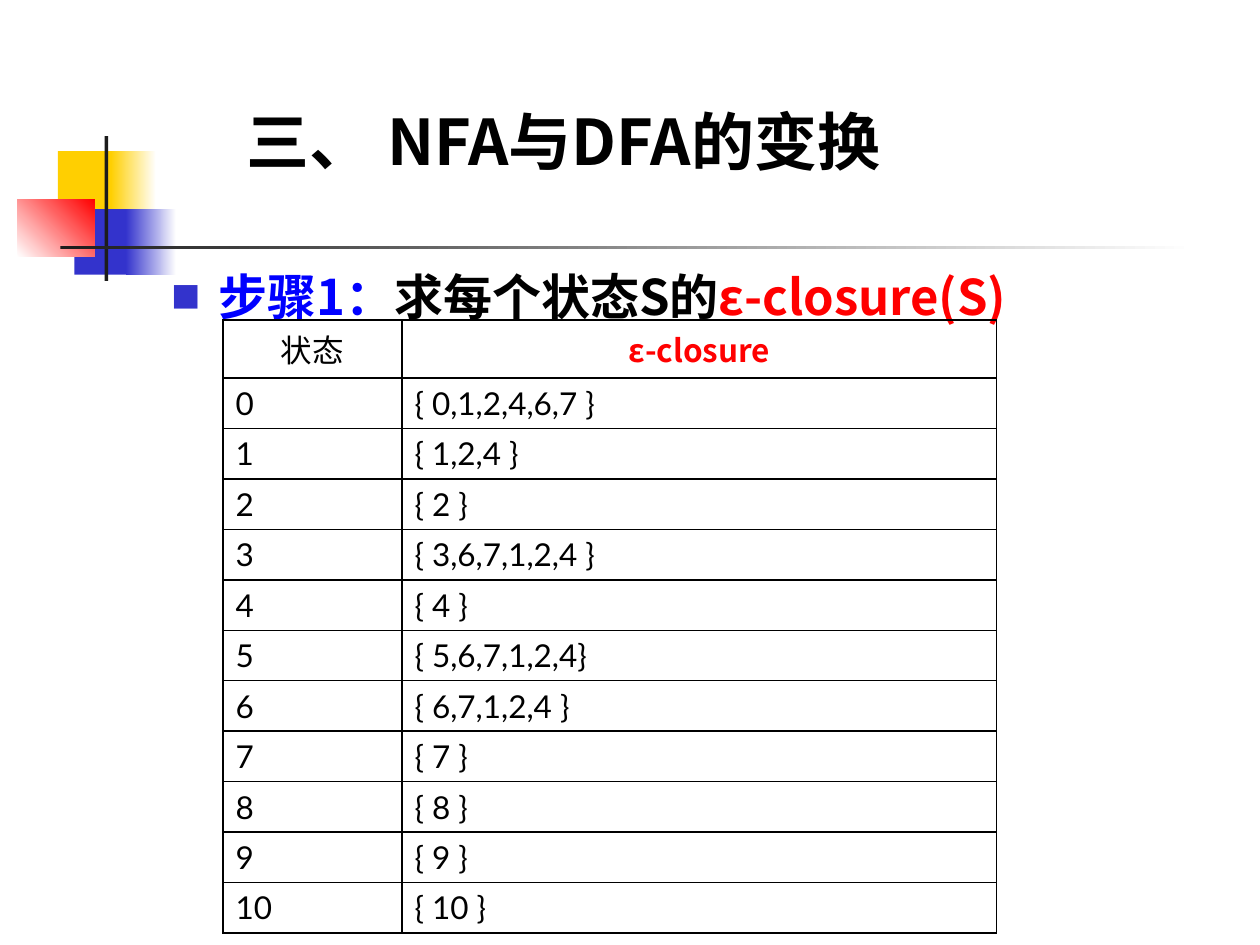
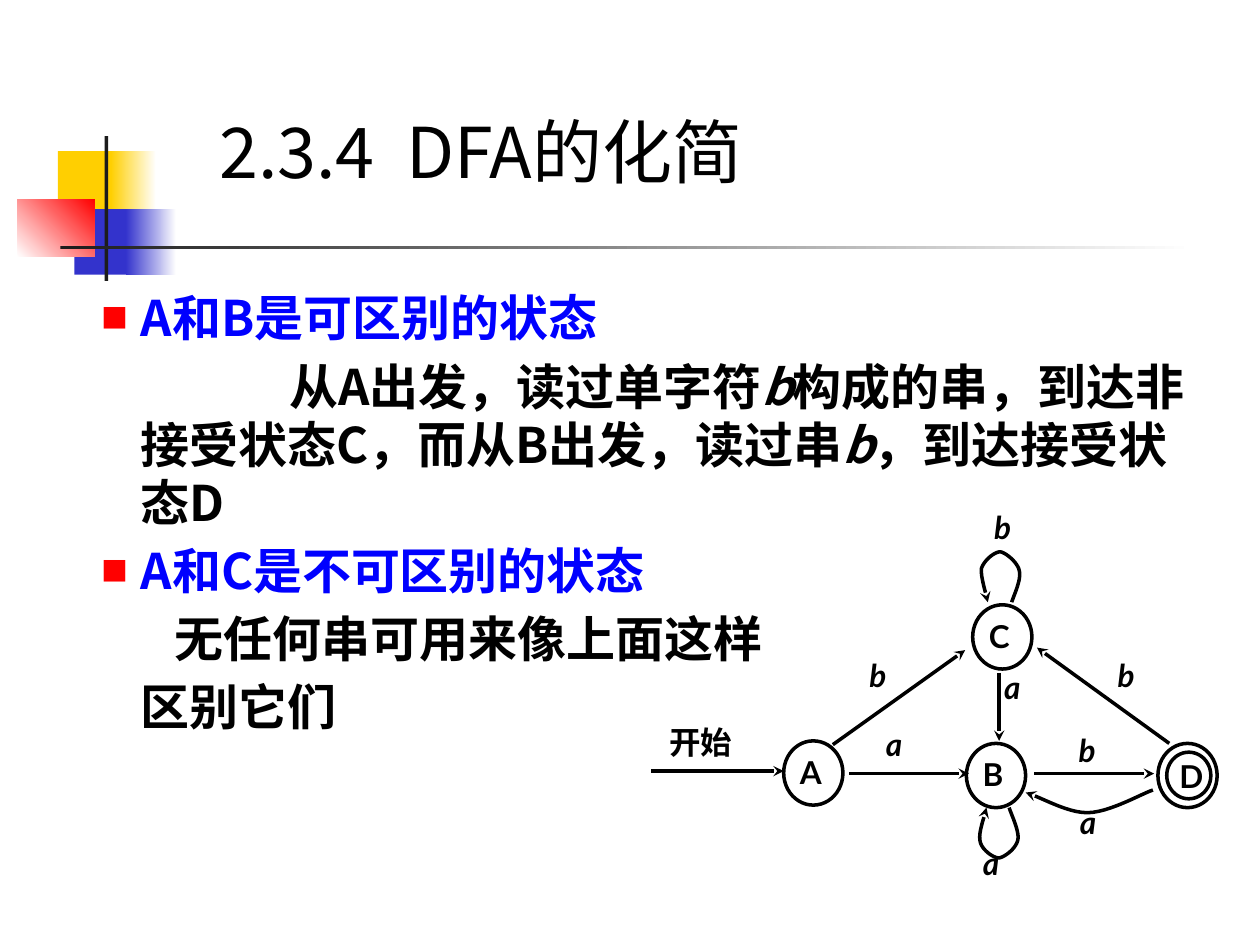
import pptx
import pptx.chart.data
import pptx.dml.color
import pptx.enum.shapes
import pptx.enum.text
import pptx.oxml
import pptx.oxml.ns
import pptx.util
from lxml import etree

Inches = pptx.util.Inches
Pt = pptx.util.Pt
RGBColor = pptx.dml.color.RGBColor
KIND = pptx.enum.shapes.MSO_SHAPE
ALIGN = pptx.enum.text.PP_ALIGN
ANCHOR = pptx.enum.text.MSO_ANCHOR
qn = pptx.oxml.ns.qn

BLACK = RGBColor(0, 0, 0)
WHITE = RGBColor(255, 255, 255)
RED = RGBColor(255, 0, 0)
BLUE = RGBColor(0, 0, 255)
NAVY = RGBColor(0x33, 0x33, 0xCC)
GOLD = RGBColor(0xFF, 0xCF, 0x01)
DARK = RGBColor(0x1C, 0x1C, 0x1C)
SANS = "Noto Sans CJK JP"
LATO = "Lato"
LEAD = 1.19
DROP = 0.05

BAND = [
    ((0.46, 1.2, 0.48, 0.52), GOLD, None, 0),
    ((0.88, 1.2, 0.36, 0.52), GOLD, WHITE, 0),
    ((0.59, 1.66, 0.46, 0.52), NAVY, None, 0),
    ((1, 1.66, 0.4, 0.52), NAVY, WHITE, 0),
    ((0.14, 1.58, 0.61, 0.46), WHITE, RED, 45),
    ((0.83, 1.08, 0.03, 1.15), DARK, None, 0),
    ((0.48, 1.95, 9, 0.03), DARK, WHITE, 0),
]

STEP = [(0.38, -0.38, (NAVY, 60), [
    ("步骤1：", BLUE), ("求每个状态S的", BLACK), ("ε-closure(S)", RED)])]
SETS = ["{ 0,1,2,4,6,7 }", "{ 1,2,4 }", "{ 2 }", "{ 3,6,7,1,2,4 }", "{ 4 }",
        "{ 5,6,7,1,2,4}", "{ 6,7,1,2,4 }", "{ 7 }", "{ 8 }", "{ 9 }", "{ 10 }"]

POINTS = [
    (0.81, -0.31, (RED, 55), [("A和B是可区别的状态", BLUE)]),
    (0.81, 1.18, None, [
        ("从A出发，读过单字符", BLACK), ("b", BLACK, True),
        ("构成的串，到达非接受状态C，而从B出发，读过串", BLACK),
        ("b", BLACK, True), ("，到达接受状态D", BLACK)]),
    (0.81, -0.31, (RED, 55), [("A和C是不可区别的状态", BLUE)]),
    (0.81, 0.27, None, [("无任何串可用来像上面这样", BLACK)]),
    (0.81, 0, None, [("区别它们", BLACK)]),
]

NODE = (0.47, 0.51)
PAD = (0.06, 0.03, 0.02, 0.05)
STATES = [
    ("A", (6.22, 5.88, *NODE), PAD),
    ("B", (7.67, 5.9, *NODE), PAD),
    ("C", (7.72, 4.8, *NODE), PAD),
    ("", (9.19, 5.9, *NODE), PAD),
    ("D", (9.26, 5.97, 0.35, 0.37), (0.05, 0, 0.01, 0)),
]
ARROWS = [
    (5.17, 6.12, 6.22, 6.12), (6.74, 6.14, 7.69, 6.14),
    (8.21, 6.14, 9.16, 6.14), (6.61, 5.91, 7.66, 5.16),
    (7.93, 5.34, 7.93, 5.88), (9.28, 5.9, 8.23, 5.14),
]
CURVES = [
    [(8.03, 4.78), (8.04, 4.74), (8.11, 4.6), (8.09, 4.53), (8.08, 4.47),
     (7.99, 4.39), (7.94, 4.38), (7.89, 4.38), (7.81, 4.45), (7.79, 4.51),
     (7.78, 4.58), (7.83, 4.72), (7.84, 4.78)],
    [(8.01, 6.41), (8.02, 6.45), (8.09, 6.59), (8.08, 6.66), (8.07, 6.73),
     (7.98, 6.8), (7.93, 6.81), (7.88, 6.81), (7.79, 6.74), (7.78, 6.68),
     (7.76, 6.61), (7.82, 6.47), (7.83, 6.41)],
    [(9.15, 6.27), (9.06, 6.3), (8.8, 6.45), (8.63, 6.45), (8.46, 6.45),
     (8.25, 6.32), (8.14, 6.29)],
]
LABELS = [
    ("a", 6.97, 5.72), ("a", 7.74, 6.67), ("a", 8.51, 6.34), ("a", 7.91, 5.27),
    ("b", 8.5, 5.77), ("b", 6.84, 5.18), ("b", 7.83, 4), ("b", 8.81, 5.18),
]


def lens(box):
    return [Inches(v) for v in box]


def add_run(para, text, size, font, color, bold=False, slant=False, gap=0):
    run = para.add_run()
    run.text = text
    face = run.font
    face.size, face.name, face.bold, face.italic = Pt(size), font, bold, slant
    face.color.rgb = color
    props = run._r.get_or_add_rPr()
    props.find(qn("a:latin")).addnext(
        etree.Element(qn("a:ea"), typeface=SANS))
    if gap:
        props.set("spc", str(gap * 100))


def set_pad(frame, pad):
    (frame.margin_left, frame.margin_top,
     frame.margin_right, frame.margin_bottom) = lens(pad)
    frame.word_wrap = True


def add_title(slide, box, size, bold, parts):
    head = slide.shapes.title
    left, top, wide, high = box
    head.left, head.top, head.width, head.height = lens(
        (left, top + DROP, wide, high))
    frame = head.text_frame
    frame.auto_size = pptx.enum.text.MSO_AUTO_SIZE.NONE
    frame.vertical_anchor = ANCHOR.MIDDLE
    set_pad(frame, (0.1, 0.05, 0.1, 0.05))
    para = frame.paragraphs[0]
    para.alignment = ALIGN.LEFT
    para.line_spacing = Pt(size * LEAD)
    for text, gap in parts:
        add_run(para, text, size, SANS, BLACK, bold, gap=gap)


def add_band(slide):
    for box, color, fade, angle in BAND:
        part = slide.shapes.add_shape(KIND.RECTANGLE, *lens(box))
        part.shadow.inherit = False
        part.line.fill.background()
        if fade is None:
            part.fill.solid()
            part.fill.fore_color.rgb = color
            continue
        part.fill.gradient()
        part.fill.gradient_angle = angle
        for stop, tone, place in zip(part.fill.gradient_stops, (color, fade), (0, 1)):
            stop.color.rgb = tone
            stop.position = place


def add_body(slide, box, items):
    left, top, wide, high = box
    frame = slide.shapes.add_textbox(
        *lens((left, top + DROP, wide, high))).text_frame
    set_pad(frame, (0.1, 0.05, 0.1, 0.05))
    for num, (left, first, mark, runs) in enumerate(items):
        para = frame.add_paragraph() if num else frame.paragraphs[0]
        para.line_spacing = Pt(28 * LEAD)
        para.space_before = Pt(5.6)
        props = para._p.get_or_add_pPr()
        props.set("marL", str(Inches(left)))
        props.set("indent", str(Inches(first)))
        if mark:
            tint = etree.SubElement(props, qn("a:buClr"))
            etree.SubElement(tint, qn("a:srgbClr"), val=str(mark[0]))
            etree.SubElement(props, qn("a:buSzPct"), val=str(mark[1] * 1000))
            etree.SubElement(props, qn("a:buFont"), typeface=SANS)
            etree.SubElement(props, qn("a:buChar"), char="■")
        for text, color, *slant in runs:
            add_run(para, text, 28, SANS, color, True, bool(slant))


def set_cell(cell, text, font=LATO, color=BLACK, bold=False, align=ALIGN.LEFT):
    cell.fill.background()
    para = cell.text_frame.paragraphs[0]
    para.alignment = align
    add_run(para, text, 18, font, color, bold)
    props = cell._tc.get_or_add_tcPr()
    for num, side in enumerate(("lnL", "lnR", "lnT", "lnB")):
        edge = etree.Element(qn("a:" + side), w=str(Pt(1)))
        fill = etree.SubElement(edge, qn("a:solidFill"))
        etree.SubElement(fill, qn("a:srgbClr"), val=str(BLACK))
        props.insert(num, edge)


def add_grid(slide):
    rows = len(SETS) + 1
    grid = slide.shapes.add_table(rows, 2, *lens((1.77, 2.54, 6.14, 4.86))).table
    grid.first_row = grid.horz_banding = False
    for col, wide in zip(grid.columns, (1.42, 4.72)):
        col.width = Inches(wide)
    for num, row in enumerate(grid.rows):
        row.height = Inches(0.4 if num else 0.46)
    set_cell(grid.cell(0, 0), "状态", align=ALIGN.CENTER)
    set_cell(grid.cell(0, 1), "ε-closure", SANS, RED, True, ALIGN.CENTER)
    for num, text in enumerate(SETS):
        set_cell(grid.cell(num + 1, 0), str(num))
        set_cell(grid.cell(num + 1, 1), text)


def set_line(part, arrow=True):
    part.line.color.rgb = BLACK
    part.line.width = Pt(2)
    if arrow:
        etree.SubElement(part.line._get_or_add_ln(), qn("a:tailEnd"), type="stealth")


def trace(knots, steps=12):
    spots = [knots[0]]
    for at in range(0, len(knots) - 1, 3):
        quad = knots[at:at + 4]
        for num in range(1, steps + 1):
            t = num / steps
            mix = ((1 - t) ** 3, 3 * t * (1 - t) ** 2, 3 * t * t * (1 - t), t ** 3)
            spots.append(tuple(sum(m * p[k] for m, p in zip(mix, quad)) for k in (0, 1)))
    return [lens(spot) for spot in spots]


def add_label(slide, text, box, slant):
    frame = slide.shapes.add_textbox(*lens(box)).text_frame
    set_pad(frame, (0.06, 0.03, 0.06, 0.03))
    add_run(frame.paragraphs[0], text, 18, LATO, BLACK, True, slant)


def add_graph(slide):
    shapes = slide.shapes
    for name, box, pad in STATES:
        node = shapes.add_shape(KIND.OVAL, *lens(box))
        node.shadow.inherit = False
        node.fill.background()
        set_line(node, False)
        if name:
            frame = node.text_frame
            set_pad(frame, pad)
            frame.vertical_anchor = ANCHOR.MIDDLE
            para = frame.paragraphs[0]
            para.alignment = ALIGN.LEFT
            add_run(para, name, 18, LATO, BLACK, True)
    for ends in ARROWS:
        link = shapes.add_connector(
            pptx.enum.shapes.MSO_CONNECTOR.STRAIGHT, *lens(ends))
        set_line(link)
        etree.SubElement(link._element.spPr, qn("a:effectLst"))
    for knots in CURVES:
        spots = trace(knots)
        pen = shapes.build_freeform(*spots[0], scale=1.0)
        pen.add_line_segments(spots[1:], close=False)
        curve = pen.convert_to_shape()
        curve.shadow.inherit = False
        curve.fill.background()
        set_line(curve)
    add_label(slide, "开始", (5.25, 5.71, 0.82, 0.48), False)
    for text, left, top in LABELS:
        add_label(slide, text, (left, top, 0.38, 0.41), True)


def add_slide(deck):
    slide = deck.slides.add_slide(deck.slide_layouts[5])
    add_band(slide)
    return slide


def main():
    deck = pptx.Presentation()
    deck.slide_width, deck.slide_height = lens((10, 7.5))

    slide = add_slide(deck)
    add_title(slide, (1.86, 0.57, 5.44, 1), 36, True, [("三、 NFA与DFA的变换", 0)])
    add_body(slide, (1.26, 2.02, 8.04, 0.52), STEP)
    add_grid(slide)

    slide = add_slide(deck)
    add_title(slide, (1.64, 0.78, 7.09, 0.73), 40, False,
              [("2.3.4", 0), (" ", 9), ("DFA的化简", 0)])
    add_body(slide, (0.21, 2.19, 9.37, 5.25), POINTS)
    add_graph(slide)

    deck.save("out.pptx")


if __name__ == "__main__":
    main()
